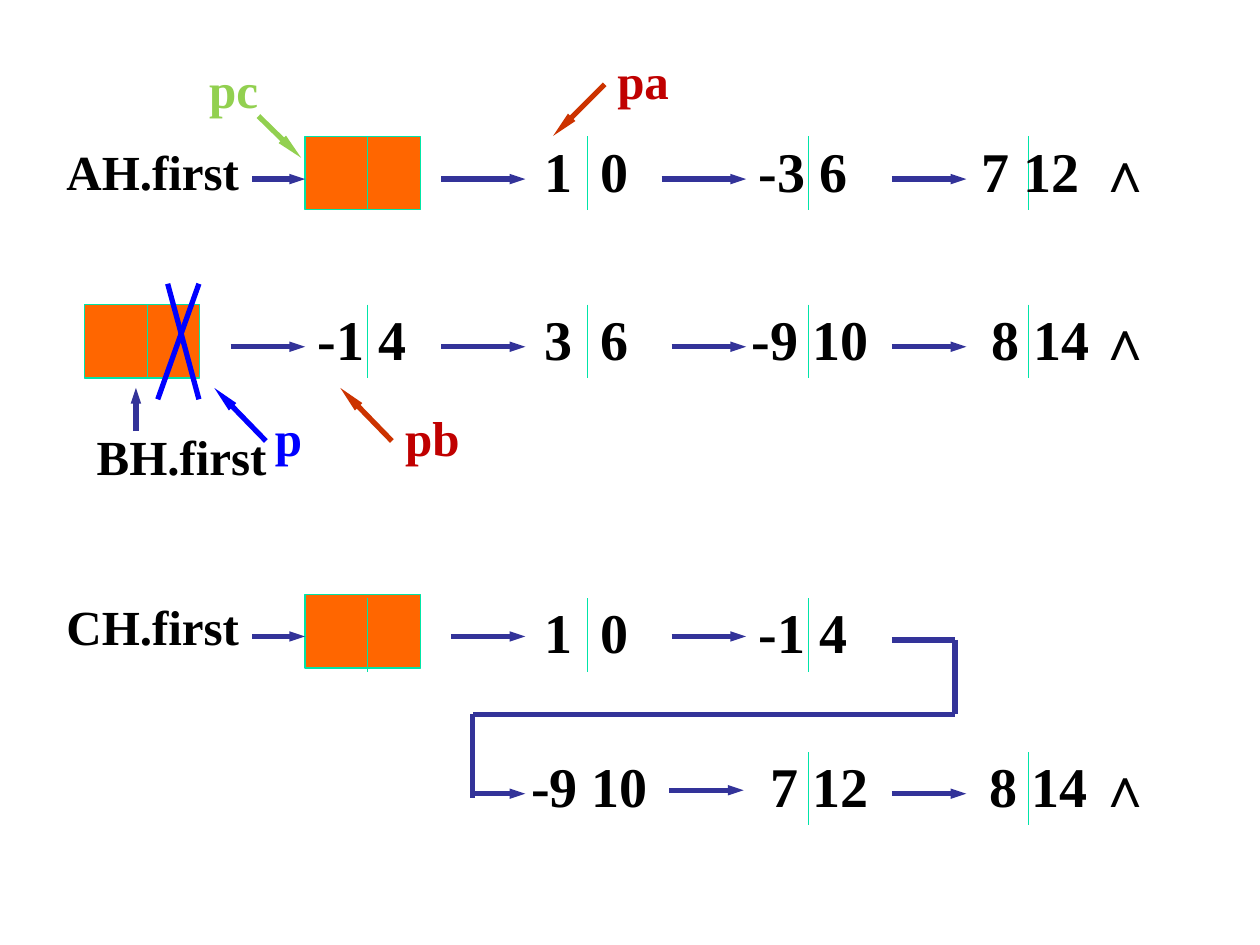
from itertools import pairwise
from lxml.etree import SubElement
from pptx import Presentation
from pptx.dml.color import RGBColor
from pptx.enum.shapes import MSO_CONNECTOR, MSO_SHAPE
from pptx.enum.text import MSO_ANCHOR, MSO_AUTO_SIZE, PP_ALIGN
from pptx.oxml.ns import qn
from pptx.util import Cm, Pt

NAVY, TEAL, FLAME = "333399", "00E4A8", "FF6600"
BLUE, RUST, RED, LIME, BLACK = "0000FF", "CC3300", "C00000", "92D050", "000000"

deck = Presentation()
deck.slide_width, deck.slide_height = Cm(25.4), Cm(19.05)
slide = deck.slides.add_slide(deck.slide_layouts[6])
shapes = slide.shapes


def link(x1, y1, x2, y2, color=NAVY, width=3, head=None):
    line = shapes.add_connector(
        MSO_CONNECTOR.STRAIGHT, Cm(x1), Cm(y1), Cm(x2), Cm(y2))
    line.line.color.rgb = RGBColor.from_string(color)
    line.line.width = Pt(width)
    if head:
        SubElement(line.line._get_or_add_ln(), qn("a:tailEnd"),
                   type="triangle", w="sm", len=head)
    SubElement(line._element.spPr, qn("a:effectLst"))


def put(text, x, y, width, size, color=BLACK, mid=False):
    high = 1.6 if size == 32 else 1.45
    box = shapes.add_textbox(Cm(x), Cm(y), Cm(width), Cm(high))
    frame = box.text_frame
    frame.word_wrap = False
    frame.auto_size = MSO_AUTO_SIZE.SHAPE_TO_FIT_TEXT
    frame.text = text
    para = frame.paragraphs[0]
    if "\t" in text:
        tabs = SubElement(para._p.get_or_add_pPr(), qn("a:tabLst"))
        SubElement(tabs, qn("a:tab"), pos=str(Cm(1.13)), algn="l")
    if mid:
        frame.vertical_anchor = MSO_ANCHOR.MIDDLE
        para.alignment = PP_ALIGN.CENTER
    font = para.runs[0].font
    font.name, font.size, font.bold = "Times New Roman", Pt(size), True
    font.color.rgb = RGBColor.from_string(color)


rows = [2.75, 6.14, 12.06, 15.16]
cols = [7.41, 11.85, 16.3, 20.74]
tall = 1.48

for x, y in [(6.15, rows[0]), (1.7, rows[1]), (6.15, 11.99)]:
    head = shapes.add_shape(
        MSO_SHAPE.RECTANGLE, Cm(x), Cm(y), Cm(2.33), Cm(tall))
    head.shadow.inherit = False
    head.fill.solid()
    head.fill.fore_color.rgb = RGBColor.from_string(FLAME)
    head.line.color.rgb = RGBColor.from_string(TEAL)
    head.line.width = Pt(0.75)

splits = [cols, [2.97] + cols, cols[:3], cols[2:]]
for y, marks in zip(rows, splits):
    for x in marks:
        link(x, y, x, y + tall, TEAL, 0.75)

hops = [
    (3.61, [(5.08, 6.15), (8.89, 10.59), (13.34, 15.04), (17.98, 19.48)]),
    (6.99, [(4.65, 6.15), (8.89, 10.59), (13.54, 15.04), (17.98, 19.48)]),
    (12.83, [(5.08, 6.15), (9.09, 10.59), (13.54, 15.04)]),
    (16, [(9.53, 10.59), (17.98, 19.48)]),
    (15.93, [(13.49, 14.99)]),
]
for y, spans in hops:
    for start, end in spans:
        link(start, y, end, y, head="med")

bends = [(17.98, 12.9), (19.25, 12.9), (19.25, 14.4), (9.53, 14.4), (9.53, 16.08)]
for start, end in pairwise(bends):
    link(*start, *end)

terms = [
    [("1\t0", 10.72, 2.21), ("-3 6", 15.04, 2.29), ("7 12", 19.53, 2.49)],
    [("-1 4", 6.15, 2.29), ("3\t6", 10.72, 2.21), ("-9 10", 14.91, 2.87),
     ("8 14", 19.74, 2.49)],
    [("1\t0", 10.72, 2.21), ("-1 4", 15.04, 2.29)],
    [("-9 10", 10.46, 2.87), ("7 12", 15.29, 2.49), ("8 14", 19.69, 2.49)],
]
for row, (y, nodes) in enumerate(zip(rows, terms)):
    for text, x, width in nodes:
        put(text, x, y - 0.13, width, 32)
    if row != 2:
        put("∧", 21.87, y - 0.13, 1.19, 32)

for text, x, y, width in [
    ("AH.first", 1.09, 2.72, 4.04),
    ("BH.first", 1.7, 8.48, 3.96),
    ("CH.first", 1.09, 11.91, 4.04),
]:
    put(text, x, y, width, 28)

for text, x, y, width, color in [
    ("pa", 12.19, 0.89, 1.55, RED),
    ("p", 5.28, 8.08, 1.07, BLUE),
    ("pc", 3.96, 1.07, 1.5, LIME),
    ("pb", 7.9, 8.08, 1.63, RED),
]:
    put(text, x, y, width, 28, color, True)

link(2.74, 8.69, 2.74, 7.82, head="med")
for x1, y1, x2, y2, color in [
    (12.19, 1.7, 11.15, 2.74, RUST),
    (5.36, 8.89, 4.32, 7.82, BLUE),
    (5.21, 2.34, 6.07, 3.18, LIME),
    (7.9, 8.89, 6.86, 7.82, RUST),
]:
    link(x1, y1, x2, y2, color, head="lg")

for top, foot in [(4.01, 3.18), (3.38, 4.01)]:
    link(top, 5.72, foot, 8.05, BLUE)

deck.save("out.pptx")
